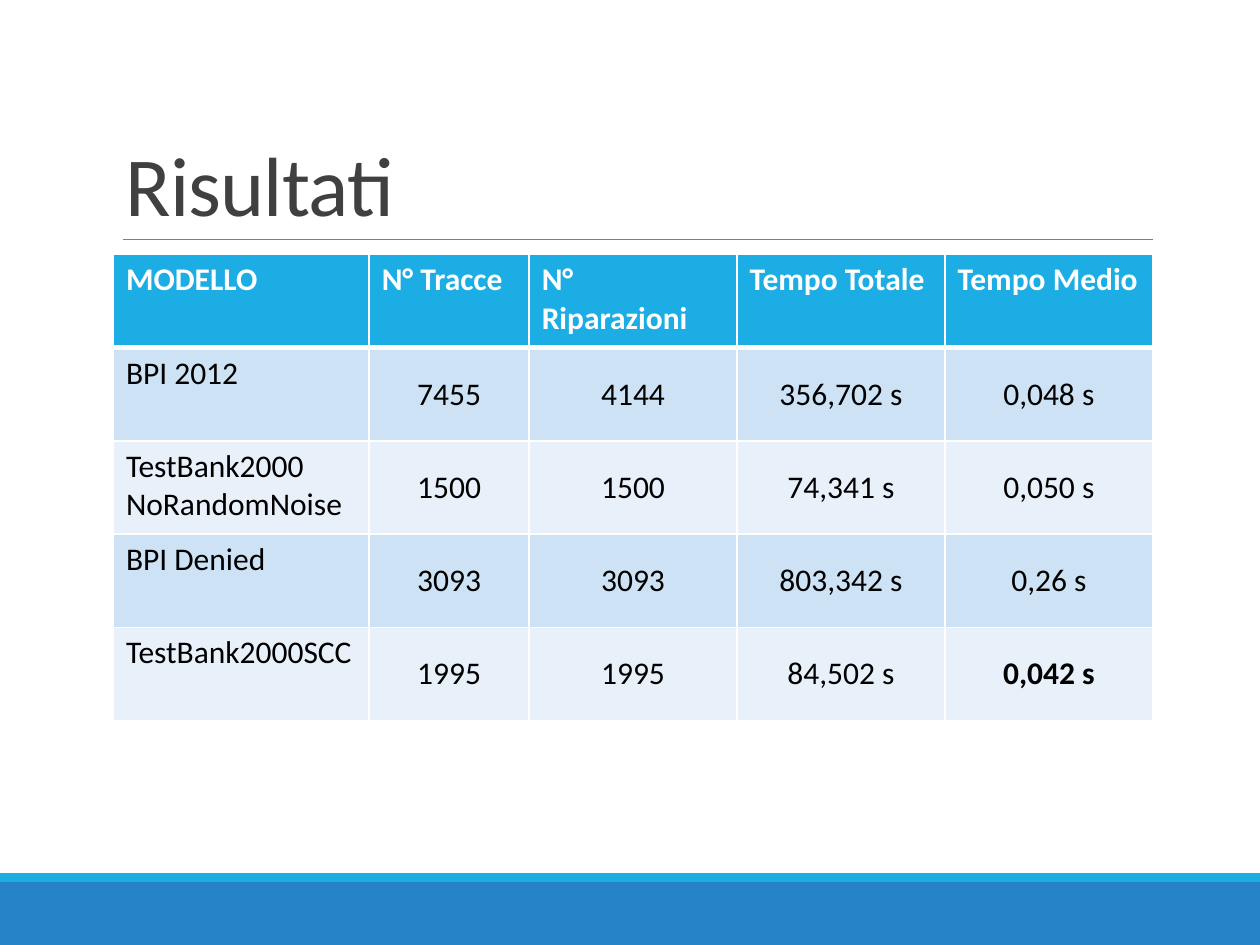
from lxml import etree
from pptx import Presentation
from pptx import util as u
from pptx.dml.color import RGBColor
from pptx.enum import shapes, text
from pptx.oxml.ns import qn

# Content
TITLE = "Risultati"
HEADER = ["MODELLO", "N° Tracce", "N° Riparazioni", "Tempo Totale", "Tempo Medio"]
RESULTS = [
    ["BPI 2012", "7455", "4144", "356,702 s", "0,048 s"],
    ["TestBank2000\u00a0\nNoRandomNoise", "1500", "1500", "74,341 s", "0,050 s"],
    ["BPI Denied", "3093", "3093", "803,342 s", "0,26 s"],
    ["TestBank2000SCC", "1995", "1995", "84,502 s", "0,042 s"],
]
BEST = "0,042 s"
COLUMN_WIDTHS = [2.03, 1.27, 1.65, 1.65, 1.65]
ROW_HEIGHT = 0.74
BANDS = [("2683C6", 7, 0.5), ("1CADE4", 6.93, 0.07)]
FONT = "Calibri"


def color(value):
    return RGBColor.from_string(value)


def add_span(para, words, size, ink, bold=False):
    span = para.add_run()
    span.text = words
    span.font.name = FONT
    span.font.size = u.Pt(size)
    span.font.bold = bold
    span.font.color.rgb = color(ink)
    return span


def add_border(cell, side, points):
    line = etree.SubElement(cell._tc.get_or_add_tcPr(), qn("a:" + side), w=str(u.Pt(points)))
    fill = etree.SubElement(line, qn("a:solidFill"))
    etree.SubElement(fill, qn("a:srgbClr"), val="FFFFFF")


deck = Presentation()
deck.slide_width, deck.slide_height = u.Inches(10), u.Inches(7.5)
page = deck.slides.add_slide(deck.slide_layouts[6])

# Footer bands
for fill, top, height in BANDS:
    band = page.shapes.add_shape(shapes.MSO_SHAPE.RECTANGLE, 0, u.Inches(top),
                                 deck.slide_width, u.Inches(height))
    band.shadow.inherit = False
    band.fill.solid()
    band.fill.fore_color.rgb = color(fill)
    band.line.fill.background()

# Rule under the title
rule = page.shapes.add_connector(shapes.MSO_CONNECTOR.STRAIGHT, u.Inches(0.98), u.Inches(1.9),
                                 u.Inches(9.15), u.Inches(1.9))
rule.line.color.rgb = color("808080")
rule.line.width = u.Pt(0.5)
etree.SubElement(rule._element.spPr, qn("a:effectLst"))

# Title
box = page.shapes.add_textbox(u.Inches(0.9), u.Inches(0.31), u.Inches(8.25), u.Inches(1.59))
frame = box.text_frame
frame.word_wrap = True
frame.vertical_anchor = text.MSO_ANCHOR.BOTTOM
para = frame.paragraphs[0]
para.line_spacing = 0.85
span = add_span(para, TITLE, 48, "404040")
span.font._element.set("spc", "-50")

# Results table
rows = [HEADER] + RESULTS
table = page.shapes.add_table(len(rows), len(HEADER), u.Inches(0.9), u.Inches(2.02),
                              u.Inches(sum(COLUMN_WIDTHS)),
                              u.Inches(ROW_HEIGHT * len(rows))).table
for column, width in zip(table.columns, COLUMN_WIDTHS):
    column.width = u.Inches(width)

for r, row in enumerate(rows):
    table.rows[r].height = u.Inches(ROW_HEIGHT)
    is_header = r == 0
    fill = "1CADE4" if is_header else ("E8F1FA", "CDE3F5")[r % 2]
    for c, words in enumerate(row):
        cell = table.cell(r, c)
        is_value = not is_header and c > 0
        for side, points in (("lnL", 1), ("lnR", 1), ("lnT", 3 if r == 1 else 1),
                             ("lnB", 3 if is_header else 1)):
            add_border(cell, side, points)
        cell.fill.solid()
        cell.fill.fore_color.rgb = color(fill)
        if is_value:
            cell.vertical_anchor = text.MSO_ANCHOR.MIDDLE
        for i, line in enumerate(words.split("\n")):
            para = cell.text_frame.add_paragraph() if i else cell.text_frame.paragraphs[0]
            if is_value:
                para.alignment = text.PP_ALIGN.CENTER
            add_span(para, line, 18, "FFFFFF" if is_header else "000000",
                     is_header or words == BEST)

deck.save("out.pptx")
